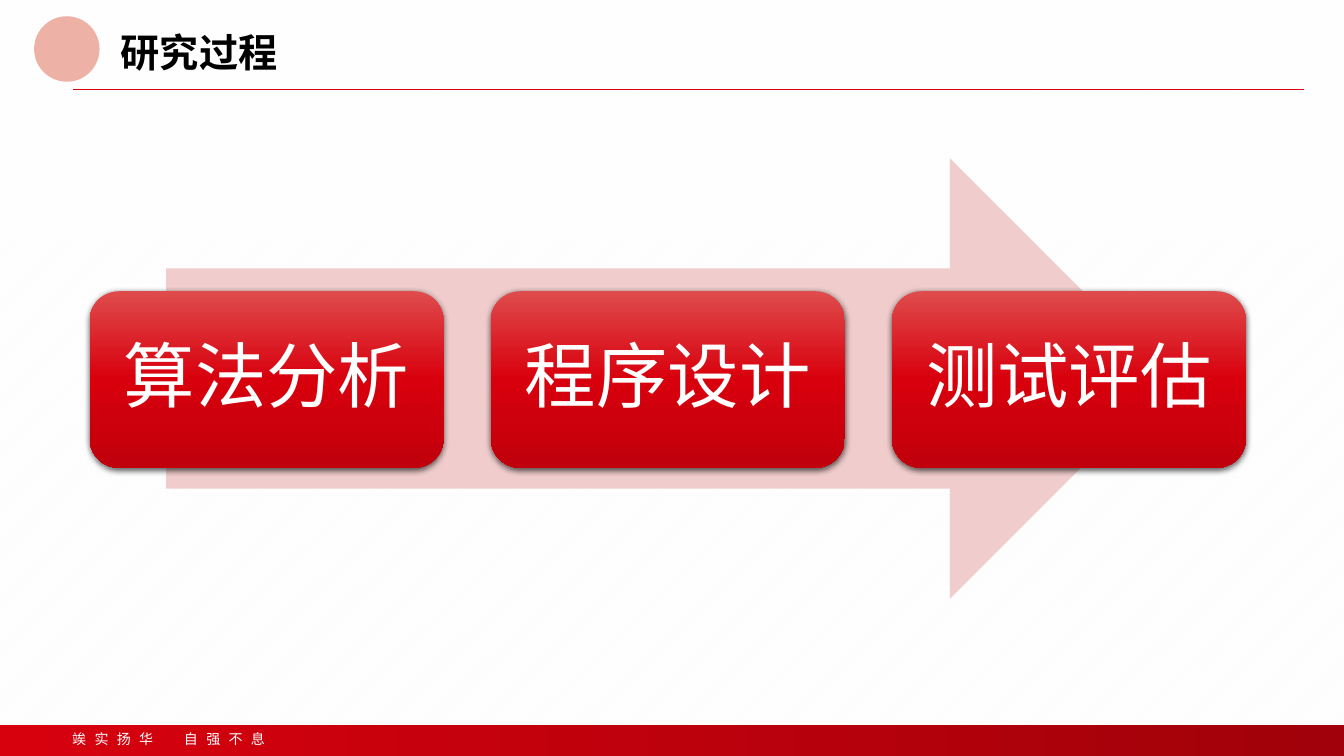
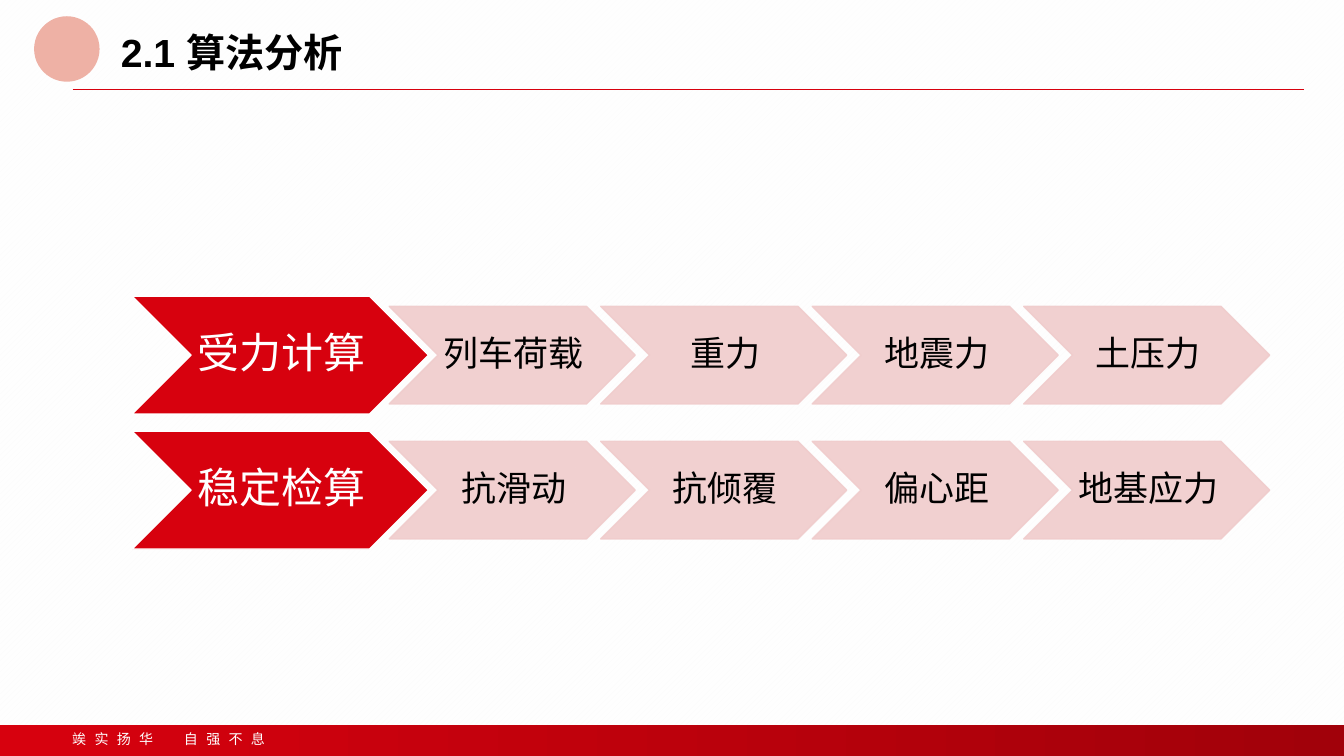
import lxml.etree
import pptx
import pptx.dml.color
import pptx.enum.dml
import pptx.enum.shapes
import pptx.enum.text
import pptx.oxml.ns
import pptx.util

Cm = pptx.util.Cm
Pt = pptx.util.Pt
RGBColor = pptx.dml.color.RGBColor
SHAPE = pptx.enum.shapes.MSO_SHAPE
ALIGN = pptx.enum.text.PP_ALIGN
ANCHOR = pptx.enum.text.MSO_ANCHOR
qn = pptx.oxml.ns.qn

RED = RGBColor(0xD7, 0x01, 0x0E)
DARK_RED = RGBColor(0xA1, 0x01, 0x0A)
CARD_TOP = RGBColor(0xDF, 0x4B, 0x4C)
CARD_MIDDLE = RGBColor(0xD8, 0x00, 0x0D)
CARD_BOTTOM = RGBColor(0xC0, 0x00, 0x0C)
PINK = RGBColor(0xF0, 0xCC, 0xCC)
SALMON = RGBColor(0xEE, 0xB1, 0xA5)
HATCH = RGBColor(0xF2, 0xF2, 0xF2)
WHITE = RGBColor(0xFF, 0xFF, 0xFF)
BLACK = RGBColor(0x00, 0x00, 0x00)

LATIN_FONT = "Arial"
CJK_FONT = "Noto Sans CJK SC"
WIDTH, HEIGHT = 33.87, 19.05
DOWN = 270


def add_xml(parent, tag, **attributes):
    return lxml.etree.SubElement(parent, qn(tag), attributes)


def set_alpha(container, percent):
    """Make every colour inside a fill or line element translucent."""
    for color in container.findall(".//" + qn("a:srgbClr")):
        add_xml(color, "a:alpha", val=str(percent * 1000))


class Deck:
    """Holds the presentation, its style and the current slide."""

    def __init__(self):
        self.prs = pptx.Presentation()
        self.prs.slide_width, self.prs.slide_height = Cm(WIDTH), Cm(HEIGHT)
        self.layout = self.prs.slide_layouts.get_by_name("Title Only")
        self.slide = None

    def add_slide(self, title):
        first = self.slide is None
        self.slide = self.prs.slides.add_slide(self.layout)
        if first:
            self.decorate_layout()
        sp = self.slide.shapes.title
        sp.left, sp.top, sp.width, sp.height = Cm(2.79), Cm(0.71), Cm(30.18), Cm(2.26)
        self.set_text(sp, title, 28, BLACK, bold=True, align=ALIGN.LEFT, anchor=ANCHOR.TOP)

    def decorate_layout(self):
        """Draw the shared parts with the slide's tools, then move them to the layout."""
        fill = self.layout.background.fill
        fill.patterned()
        fill.pattern = pptx.enum.dml.MSO_PATTERN.WIDE_UPWARD_DIAGONAL
        fill.fore_color.rgb, fill.back_color.rgb = HATCH, WHITE

        veil = self.shape(SHAPE.RECTANGLE, 0, 0, WIDTH, HEIGHT)
        self.gradient(veil, [(0, WHITE, 85), (100, WHITE, 70)], DOWN)
        band = self.shape(SHAPE.RECTANGLE, 0, 18.26, WIDTH, 0.79)
        self.gradient(band, [(0, RED, 100), (100, DARK_RED, 100)], 0)
        rule = self.line(1.83, 2.26, 32.87, 2.26)
        dot = self.shape(SHAPE.OVAL, 0.86, 0.41, 1.65, 1.65, SALMON)
        motto = self.slide.shapes.add_textbox(Cm(1.57), Cm(18.29), Cm(6.5), Cm(0.69))
        self.set_text(motto, "竢实扬华　自强不息", 10, WHITE, font=CJK_FONT,
                      align=ALIGN.LEFT, anchor=ANCHOR.TOP, line_spacing=1, tracking=6)
        for part in (veil, band, rule, dot, motto):
            self.layout.shapes.element.append(part.element)

    def shape(self, kind, left, top, width, height, color=None, line=None, alpha=100):
        sp = self.slide.shapes.add_shape(kind, Cm(left), Cm(top), Cm(width), Cm(height))
        sp.shadow.inherit = False
        if color is not None:
            sp.fill.solid()
            sp.fill.fore_color.rgb = color
        if line is None:
            sp.line.fill.background()
        else:
            sp.line.color.rgb = line
            sp.line.width = Pt(1)
        if alpha < 100:
            set_alpha(sp.element.spPr, alpha)
        return sp

    def gradient(self, sp, stops, angle):
        """Fill with stops given as (position, colour, opacity), both in percent."""
        sp.fill.gradient()
        sp.fill.gradient_angle = angle
        stop_list = sp.element.spPr.find(".//" + qn("a:gsLst"))
        for old in list(stop_list):
            stop_list.remove(old)
        for position, color, alpha in stops:
            stop = add_xml(stop_list, "a:gs", pos=str(position * 1000))
            add_xml(stop, "a:srgbClr", val=str(color))
            if alpha < 100:
                set_alpha(stop, alpha)

    def drop_shadow(self, sp):
        effects = sp.element.spPr.find(qn("a:effectLst"))
        shadow = add_xml(effects, "a:outerShdw", blurRad=str(Pt(4.5)), dist=str(Pt(1.5)),
                         dir="5400000", rotWithShape="0")
        add_xml(shadow, "a:srgbClr", val=str(BLACK))
        set_alpha(shadow, 63)

    def line(self, x1, y1, x2, y2):
        cxn = self.slide.shapes.add_connector(
            pptx.enum.shapes.MSO_CONNECTOR.STRAIGHT, Cm(x1), Cm(y1), Cm(x2), Cm(y2))
        cxn.line.color.rgb = RED
        cxn.line.width = Pt(0.5)
        add_xml(cxn.element.spPr, "a:effectLst")
        return cxn

    def set_text(self, sp, text, size, color, bold=False, font=LATIN_FONT,
                 align=ALIGN.CENTER, anchor=ANCHOR.MIDDLE, line_spacing=0.9,
                 tracking=0, insets=None):
        """Set one paragraph; insets are left, top, right and bottom in cm."""
        tf = sp.text_frame
        tf.text = text
        tf.word_wrap = True
        tf.auto_size = pptx.enum.text.MSO_AUTO_SIZE.NONE
        tf.vertical_anchor = anchor
        if insets:
            (tf.margin_left, tf.margin_top,
             tf.margin_right, tf.margin_bottom) = [Cm(inset) for inset in insets]
        p = tf.paragraphs[0]
        p.alignment = align
        p.line_spacing = line_spacing
        r = p.runs[0]
        r.font.name, r.font.size, r.font.bold = font, Pt(size), bold
        r.font.color.rgb = color
        properties = sp.element.find(".//" + qn("a:rPr"))
        add_xml(properties, "a:ea", typeface=CJK_FONT)
        if tracking:
            properties.set("spc", str(tracking * 100))

    def card(self, text, left):
        sp = self.shape(SHAPE.ROUNDED_RECTANGLE, left, 7.34, 8.92, 4.45)
        self.gradient(sp, [(0, CARD_TOP, 100), (50, CARD_MIDDLE, 100),
                           (100, CARD_BOTTOM, 100)], DOWN)
        self.drop_shadow(sp)
        self.set_text(sp, text, 51, WHITE, insets=(0.53, 0.53, 0.53, 0.53))

    def chevron_row(self, middle, heading, steps):
        """Draw a red heading chevron and its pink steps, centred on one height."""
        insets = (0.08, 0.05, 0, 0.05)
        height = 2.97
        sp = self.shape(SHAPE.CHEVRON, 3.33, middle - height / 2, 7.47, height, RED, WHITE)
        self.set_text(sp, heading, 30, WHITE, insets=insets)
        height = 2.46
        for i, step in enumerate(steps):
            sp = self.shape(SHAPE.CHEVRON, 9.81 + i * 5.33, middle - height / 2,
                            6.2, height, PINK, PINK, alpha=90)
            self.set_text(sp, step, 25, BLACK, insets=insets)


def process_slide(deck):
    deck.add_slide("研究过程")
    deck.shape(SHAPE.RIGHT_ARROW, 4.19, 3.99, 25.3, 11.1, PINK)
    for i, stage in enumerate(["算法分析", "程序设计", "测试评估"]):
        deck.card(stage, 2.26 + i * 10.11)


def algorithm_slide(deck):
    deck.add_slide("2.1 算法分析")
    rows = [
        ("受力计算", ["列车荷载", "重力", "地震力", "土压力"]),
        ("稳定检算", ["抗滑动", "抗倾覆", "偏心距", "地基应力"]),
    ]
    for i, (heading, steps) in enumerate(rows):
        deck.chevron_row(8.95 + i * 3.4, heading, steps)


def main():
    deck = Deck()
    process_slide(deck)
    algorithm_slide(deck)
    deck.prs.save("out.pptx")


if __name__ == "__main__":
    main()
